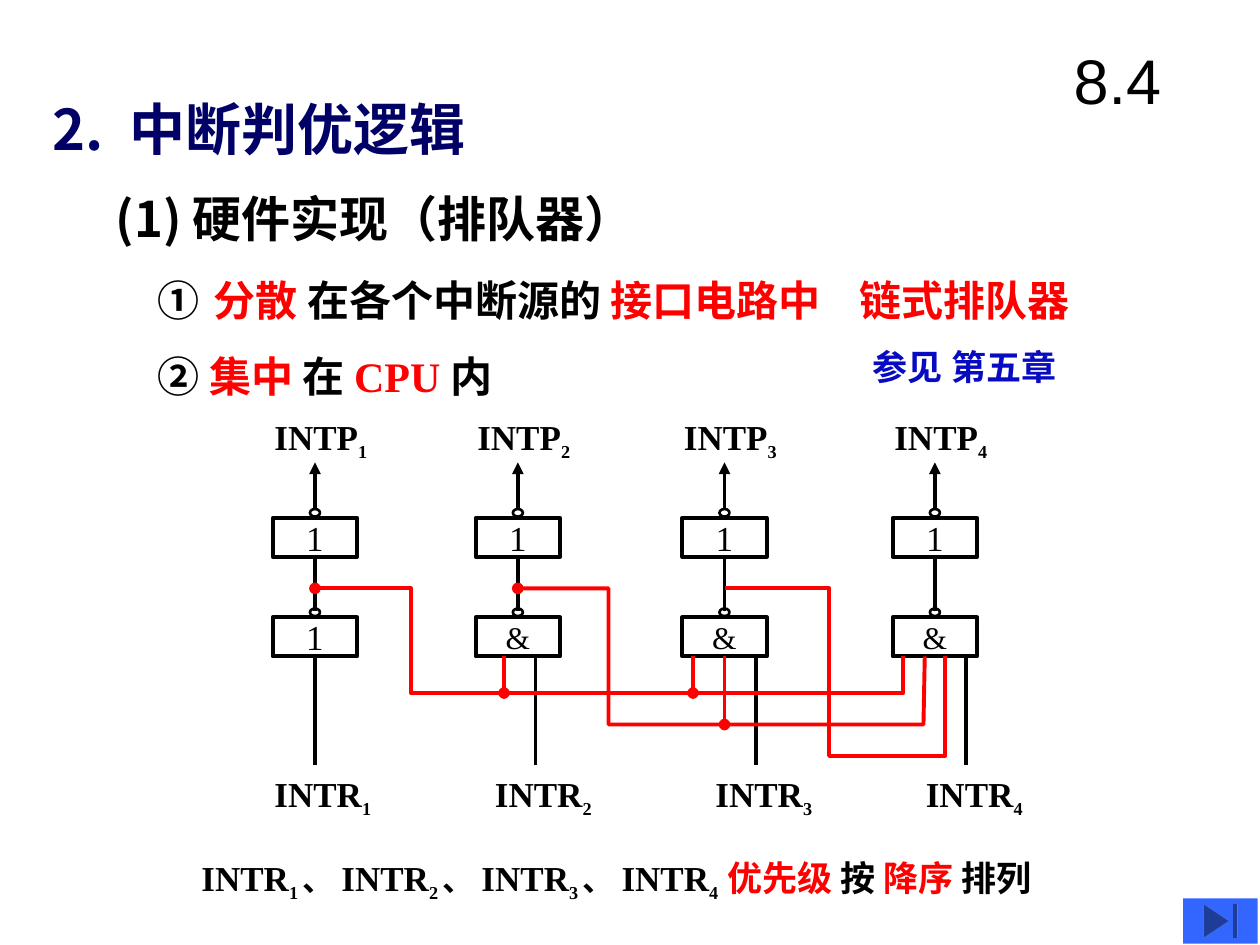
"""Build the slide on interrupt priority logic with its daisy-chain circuit."""
from typing import NamedTuple, Optional

from lxml.etree import SubElement
from pptx import Presentation
from pptx.dml.color import RGBColor
from pptx.enum.shapes import MSO_CONNECTOR, MSO_SHAPE
from pptx.enum.text import MSO_ANCHOR, MSO_AUTO_SIZE, PP_ALIGN
from pptx.oxml.ns import qn
from pptx.util import Inches, Pt

BLACK = RGBColor(0x00, 0x00, 0x00)
RED = RGBColor(0xFF, 0x00, 0x00)
NAVY = RGBColor(0x00, 0x00, 0x66)
BLUE = RGBColor(0x07, 0x0B, 0xC1)
BUTTON_BLUE = RGBColor(0x33, 0x66, 0xFF)
HAN = "Noto Sans CJK SC"
ROMAN = "Times New Roman"

GATE_WIDTH, GATE_HEIGHT = 0.67, 0.31
UPPER_GATE, LOWER_GATE = 4.11, 4.9
GATE_BOTTOM = LOWER_GATE + GATE_HEIGHT
TAP, BUS_1, BUS_2, BUS_3 = 4.67, 5.5, 5.75, 6.0


class Span(NamedTuple):
    text: str
    size: float = 20
    color: RGBColor = BLACK
    font: str = ROMAN
    bold: bool = True
    subscript: bool = False


class TextBlock(NamedTuple):
    left: float
    top: float
    width: float
    height: float
    spans: list[Span]
    inset: float = 0.1
    anchor: MSO_ANCHOR = MSO_ANCHOR.TOP


class Stage(NamedTuple):
    number: int
    center: float
    request: float
    symbol: Span


class Wire(NamedTuple):
    points: list[tuple[float, float]]
    head: Optional[str] = "oval"


def signal(name: str, number: int, gap: str = "") -> list[Span]:
    """Return a signal name with its subscript number."""
    return [Span(name), Span(f"{number}{gap}", 18, subscript=True)]


def heading(left: float, top: float, width: float, *spans: Span) -> TextBlock:
    """Return a heading line set in the middle of its box."""
    return TextBlock(left, top, width, 0.58, list(spans), 0, MSO_ANCHOR.MIDDLE)


def write(frame, spans: list[Span], alignment=PP_ALIGN.LEFT) -> None:
    """Fill the first paragraph of a text frame with formatted spans."""
    para = frame.paragraphs[0]
    para.alignment = alignment
    for span in spans:
        run = para.add_run()
        run.text = span.text
        for name, value in {"size": Pt(span.size), "bold": span.bold, "name": span.font}.items():
            setattr(run.font, name, value)
        run.font.color.rgb = span.color
        properties = run._r.get_or_add_rPr()
        SubElement(properties, qn("a:ea")).set("typeface", HAN)
        if span.subscript:
            properties.set("baseline", "-25000")


def set_frame(frame, inset: float, anchor, vertical_inset: float = 0.05) -> None:
    """Set the wrapping, anchor and insets of a text frame."""
    values = {
        "word_wrap": True,
        "auto_size": MSO_AUTO_SIZE.NONE,
        "vertical_anchor": anchor,
        "margin_left": Inches(inset),
        "margin_right": Inches(inset),
        "margin_top": Inches(vertical_inset),
        "margin_bottom": Inches(vertical_inset),
    }
    for name, value in values.items():
        setattr(frame, name, value)


def add_text(slide, block: TextBlock) -> None:
    """Add one text box."""
    box = slide.shapes.add_textbox(*map(Inches, block[:4]))
    set_frame(box.text_frame, block.inset, block.anchor)
    write(box.text_frame, block.spans)


def set_line(shape, color: RGBColor, width: float = 2.25, **ends: Optional[str]) -> None:
    """Set the outline and the line ends of a shape."""
    shape.line.color.rgb = color
    shape.line.width = Pt(width)
    for end, kind in ends.items():
        if kind:
            SubElement(shape.line._get_or_add_ln(), qn(f"a:{end}")).set("type", kind)


def add_line(slide, start: tuple, finish: tuple, color: RGBColor = BLACK, tail: Optional[str] = None) -> None:
    """Add a straight line between two points."""
    line = slide.shapes.add_connector(MSO_CONNECTOR.STRAIGHT, *map(Inches, (*start, *finish)))
    set_line(line, color, tailEnd=tail)
    SubElement(line._element.spPr, qn("a:effectLst"))


def add_outline(slide, kind, left: float, top: float, width: float, height: float, weight: float):
    """Add an unfilled black preset shape."""
    shape = slide.shapes.add_shape(kind, *map(Inches, (left, top, width, height)))
    shape.shadow.inherit = False
    shape.fill.background()
    set_line(shape, BLACK, weight)
    return shape


def add_gate(slide, center: float, top: float, symbol: Span) -> None:
    """Add a gate with its inverting bubble."""
    gate = add_outline(slide, MSO_SHAPE.RECTANGLE, center - GATE_WIDTH / 2, top, GATE_WIDTH, GATE_HEIGHT, 2.25)
    set_frame(gate.text_frame, 0, MSO_ANCHOR.MIDDLE, 0)
    write(gate.text_frame, [symbol], PP_ALIGN.CENTER)
    add_outline(slide, MSO_SHAPE.OVAL, center - 0.04, top - 0.07, 0.08, 0.06, 1.5)


def add_stage(slide, stage: Stage) -> None:
    """Add one column of the chain with its signal labels."""
    center, request = stage.center, stage.request
    add_gate(slide, center, UPPER_GATE, ONE)
    add_gate(slide, center, LOWER_GATE, stage.symbol)
    add_line(slide, (center, UPPER_GATE + GATE_HEIGHT), (center, LOWER_GATE - 0.05))
    add_line(slide, (center, UPPER_GATE - 0.06), (center, 3.67), tail="triangle")
    add_line(slide, (request, GATE_BOTTOM), (request, 6.07))
    add_text(slide, TextBlock(center - 0.42, 3.25, 1.17, 0.47, signal("INTP", stage.number)))
    add_text(slide, TextBlock(request - 0.42, 6.08, 1.67, 0.47, signal("INTR", stage.number)))


def add_wire(slide, wire: Wire) -> None:
    """Add a red wire bent along its points."""
    points = [(Inches(x), Inches(y)) for x, y in wire.points]
    builder = slide.shapes.build_freeform(*points[0])
    builder.add_line_segments(points[1:], close=False)
    shape = builder.convert_to_shape()
    shape.shadow.inherit = False
    shape.fill.background()
    set_line(shape, RED, headEnd=wire.head)


ONE = Span("1", bold=False)
AND = Span("&", 18, bold=False)
STAGES = [Stage(1, 2.5, 2.5, ONE), Stage(2, 4.11, 4.25, AND), Stage(3, 5.75, 6, AND), Stage(4, 7.42, 7.67, AND)]
WIRES = [
    Wire([(2.5, TAP), (3.26, TAP), (3.26, BUS_1), (7.17, BUS_1), (7.17, GATE_BOTTOM)]),
    Wire([(4.11, TAP), (4.83, TAP), (4.83, BUS_2), (7.33, BUS_2), (7.34, GATE_BOTTOM)]),
    Wire([(5.75, TAP), (6.58, TAP), (6.58, BUS_3), (7.5, BUS_3), (7.5, GATE_BOTTOM)], None),
]
BRANCHES = [(4, BUS_1), (5.5, BUS_1), (5.75, BUS_2)]
PRIORITY = [
    span
    for number in range(1, 4)
    for span in (*signal("INTR", number, " "), Span("、 ", 18))
] + signal("INTR", 4, "  ") + [Span("优先级 ", color=RED), Span("按 "), Span("降序 ", color=RED), Span("排列")]
TEXTS = [
    heading(0.42, 0.73, 4.25, Span("2.  中断判优逻辑", 32, NAVY, HAN)),
    heading(0.92, 1.44, 5.75, Span("(1) 硬件实现（排队器）", 28, BLACK, HAN)),
    heading(1.25, 2.02, 8.25, Span("①", 24, BLACK, HAN), Span(" ", 36, BLACK, HAN), Span("分散 ", 24, RED, HAN),
            Span("在各个中断源的 ", 24, BLACK, HAN), Span("接口电路中    链式排队器", 24, RED, HAN)),
    heading(1.25, 2.69, 5.75, Span("② ", 24, BLACK, HAN), Span("集中 ", 24, RED, HAN), Span("在 ", 24, BLACK, HAN),
            Span("CPU ", 24, RED), Span("内", 24, BLACK, HAN)),
    TextBlock(6.83, 2.69, 2.58, 0.44, [Span("参见 第五章", color=BLUE)]),
    TextBlock(1.5, 6.75, 7.75, 0.47, PRIORITY),
]


def main() -> None:
    """Build and save the deck."""
    deck = Presentation()
    deck.slide_width, deck.slide_height = Inches(10), Inches(7.5)
    slide = deck.slides.add_slide(deck.slide_layouts[5])
    title = slide.shapes.title
    for name, value in {"left": 8.42, "top": 0.17, "width": 1.25, "height": 0.92}.items():
        setattr(title, name, Inches(value))
    set_frame(title.text_frame, 0.1, MSO_ANCHOR.MIDDLE)
    write(title.text_frame, [Span("8.4", 36, BLACK, "Arial", False)])
    for block in TEXTS:
        add_text(slide, block)
    for stage in STAGES:
        add_stage(slide, stage)
    for wire in WIRES:
        add_wire(slide, wire)
    for x, bus in BRANCHES:
        add_line(slide, (x, GATE_BOTTOM), (x, bus), RED, "oval")
    button = slide.shapes.add_shape(MSO_SHAPE.ACTION_BUTTON_END, *map(Inches, (9.39, 7.13, 0.59, 0.36)))
    button.shadow.inherit = False
    button.fill.solid()
    button.fill.fore_color.rgb = BUTTON_BLUE
    button.line.fill.background()
    deck.save("out.pptx")


if __name__ == "__main__":
    main()
